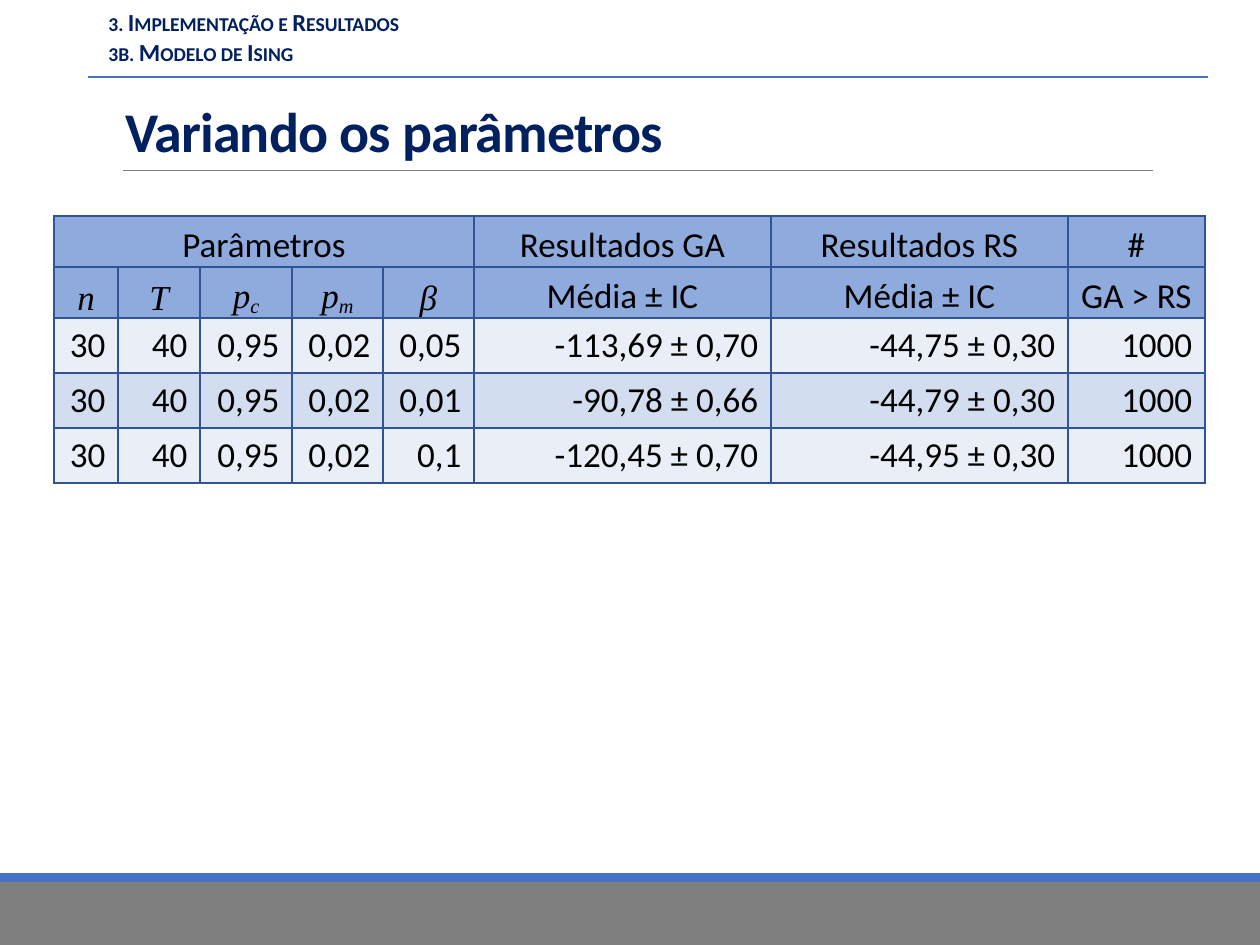
from dataclasses import dataclass

from lxml.etree import SubElement
from pptx import Presentation
from pptx.dml.color import RGBColor
from pptx.enum.shapes import MSO_CONNECTOR as Connector, MSO_SHAPE as Preset
from pptx.enum.text import MSO_ANCHOR as Anchor, PP_ALIGN as Align
from pptx.oxml.ns import qn
from pptx.util import Pt

EMU_PER_PX = 914400 / 126


@dataclass(frozen=True)
class Theme:
    navy: str = "002060"
    black: str = "000000"
    blue: str = "4472C4"
    rule_gray: str = "808080"
    footer_gray: str = "7F7F7F"
    border: str = "2F5597"
    header_fill: str = "8FAADC"
    band_fills: tuple = ("EAEFF7", "D2DEEF")
    font: str = "Calibri"
    math_font: str = "Times New Roman"
    title_size: int = 32
    table_size: int = 20
    section_size: int = 14


THEME = Theme()

SECTION = ["3. Implementação e Resultados", "3b. Modelo de Ising"]
COLUMN_WIDTHS = [64, 82, 92, 91, 91, 297, 297, 137]
GROUPS = ["Parâmetros", "", "", "", "", "Resultados GA", "Resultados RS", "#"]
# Symbol and subscript of each parameter
PARAMETERS = [("n", ""), ("T", ""), ("p", "c"), ("p", "m"), ("β", "")]
MEASURES = ["Média ± IC", "Média ± IC", "GA > RS"]
RESULTS = [
    ["30", "40", "0,95", "0,02", "0,05", "-113,69 ± 0,70", "-44,75 ± 0,30", "1000"],
    ["30", "40", "0,95", "0,02", "0,01", "-90,78 ± 0,66", "-44,79 ± 0,30", "1000"],
    ["30", "40", "0,95", "0,02", "0,1", "-120,45 ± 0,70", "-44,95 ± 0,30", "1000"],
]


def px(value):
    return round(value * EMU_PER_PX)


def color(value):
    return RGBColor.from_string(value)


def add_run(paragraph, text, size, ink, font=THEME.font, bold=False,
            italic=False, **attributes):
    run = paragraph.add_run()
    run.text = text
    run.font.name = font
    run.font.size = Pt(size)
    run.font.bold = bold
    run.font.italic = italic
    run.font.color.rgb = color(ink)
    for name, value in attributes.items():
        run.font._element.set(name, value)


def add_band(slide, top, height, fill):
    shape = slide.shapes.add_shape(Preset.RECTANGLE, 0, px(top), px(1260), px(height))
    shape.shadow.inherit = False
    shape.fill.solid()
    shape.fill.fore_color.rgb = color(fill)
    shape.line.fill.background()


def add_rule(slide, left, right, y, ink, width):
    rule = slide.shapes.add_connector(Connector.STRAIGHT, px(left), px(y), px(right), px(y))
    rule.line.color.rgb = color(ink)
    rule.line.width = Pt(width)
    SubElement(rule._element.spPr, qn("a:effectLst"))


def add_text_frame(slide, left, top, width, height, wrap):
    box = slide.shapes.add_textbox(px(left), px(top), px(width), px(height))
    box.text_frame.word_wrap = wrap
    return box.text_frame


def add_title(slide, text):
    frame = add_text_frame(slide, 113, 87, 1040, 83, True)
    frame.vertical_anchor = Anchor.BOTTOM
    paragraph = frame.paragraphs[0]
    paragraph.line_spacing = 0.85
    add_run(paragraph, text, THEME.title_size, THEME.navy, bold=True, spc="-50")


def add_section(slide, lines):
    frame = add_text_frame(slide, 96, 1, 324, 71, False)
    for index, line in enumerate(lines):
        paragraph = frame.add_paragraph() if index else frame.paragraphs[0]
        add_run(paragraph, line, THEME.section_size, THEME.navy, bold=True, cap="small")


def style_cell(cell, fill, align):
    cell.vertical_anchor = Anchor.BOTTOM
    cell.text_frame.paragraphs[0].alignment = align
    properties = cell._tc.get_or_add_tcPr()
    for side in ("lnL", "lnR", "lnT", "lnB"):
        line = SubElement(properties, qn(f"a:{side}"), w=str(Pt(1)))
        solid = SubElement(line, qn("a:solidFill"))
        SubElement(solid, qn("a:srgbClr"), val=THEME.border)
    cell.fill.solid()
    cell.fill.fore_color.rgb = color(fill)


def fill_cell(cell, text):
    add_run(cell.text_frame.paragraphs[0], text, THEME.table_size, THEME.black)


def fill_symbol(cell, symbol, subscript):
    paragraph = cell.text_frame.paragraphs[0]
    style = dict(size=THEME.table_size, ink=THEME.black, font=THEME.math_font, italic=True)
    add_run(paragraph, symbol, **style)
    if subscript:
        add_run(paragraph, subscript, baseline="-14000", **style)


def add_results_table(slide):
    heights = [51, 51] + [55] * len(RESULTS)
    frame = slide.shapes.add_table(len(heights), len(COLUMN_WIDTHS), px(54), px(216),
                                   px(sum(COLUMN_WIDTHS)), px(sum(heights)))
    table = frame.table
    for column, width in zip(table.columns, COLUMN_WIDTHS):
        column.width = px(width)
    for row, height in zip(table.rows, heights):
        row.height = px(height)

    # Header rows
    for row in (0, 1):
        for cell in table.rows[row].cells:
            style_cell(cell, THEME.header_fill, Align.CENTER)
            cell.margin_left = cell.margin_right = cell.margin_top = px(1)
            cell.margin_bottom = 0
    last_parameter = len(PARAMETERS) - 1
    table.cell(0, 0).merge(table.cell(0, last_parameter))
    for column, text in enumerate(GROUPS):
        if text:
            fill_cell(table.cell(0, column), text)
    for column, (symbol, subscript) in enumerate(PARAMETERS):
        fill_symbol(table.cell(1, column), symbol, subscript)
    for column, text in enumerate(MEASURES, len(PARAMETERS)):
        fill_cell(table.cell(1, column), text)

    # Result rows
    for index, values in enumerate(RESULTS):
        for cell, text in zip(table.rows[index + 2].cells, values):
            style_cell(cell, THEME.band_fills[index % 2], Align.RIGHT)
            fill_cell(cell, text)


def main():
    presentation = Presentation()
    presentation.slide_width = px(1260)
    presentation.slide_height = px(945)
    slide = presentation.slides.add_slide(presentation.slide_layouts[6])

    # Footer bands and rules
    add_band(slide, 882, 63, THEME.footer_gray)
    add_band(slide, 873, 9, THEME.blue)
    add_rule(slide, 123, 1153, 170, THEME.rule_gray, 0.5)
    add_rule(slide, 88, 1208, 77, THEME.blue, 1)

    # Content
    add_title(slide, "Variando os parâmetros")
    add_results_table(slide)
    add_section(slide, SECTION)
    presentation.save("out.pptx")


if __name__ == "__main__":
    main()
